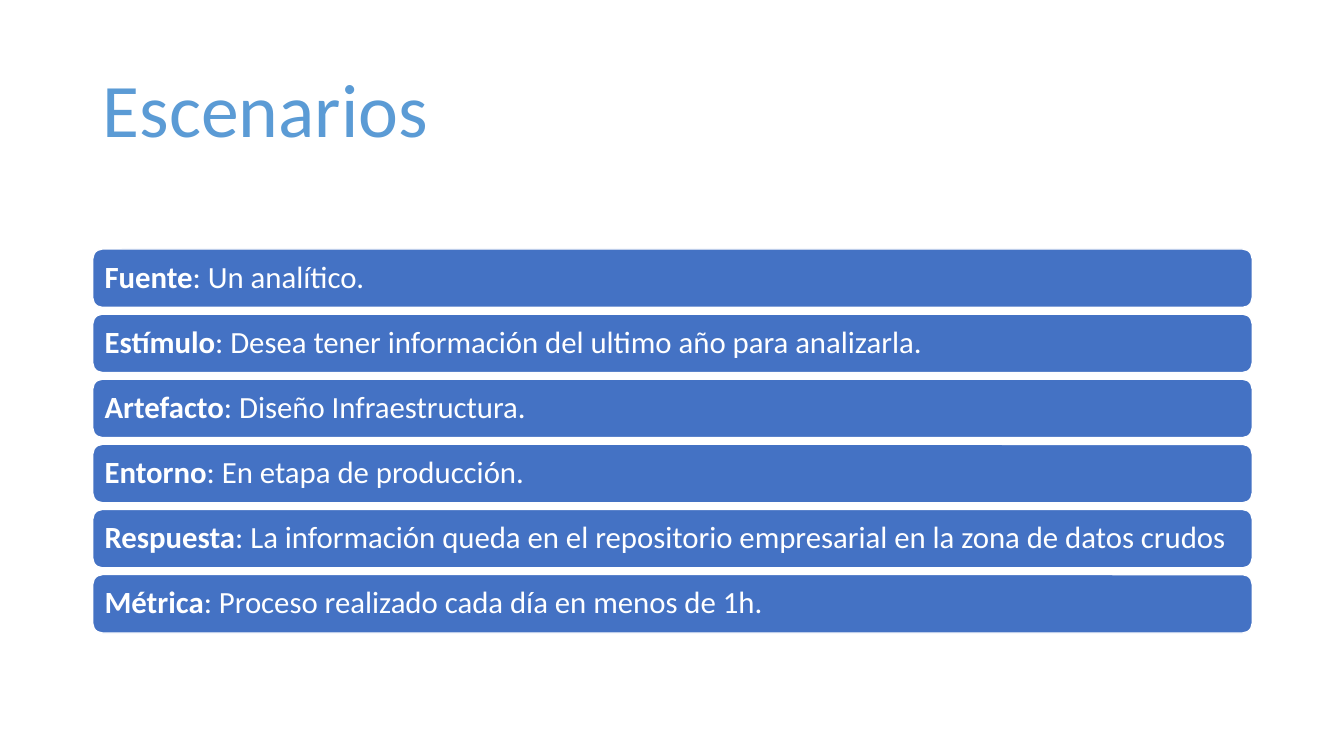
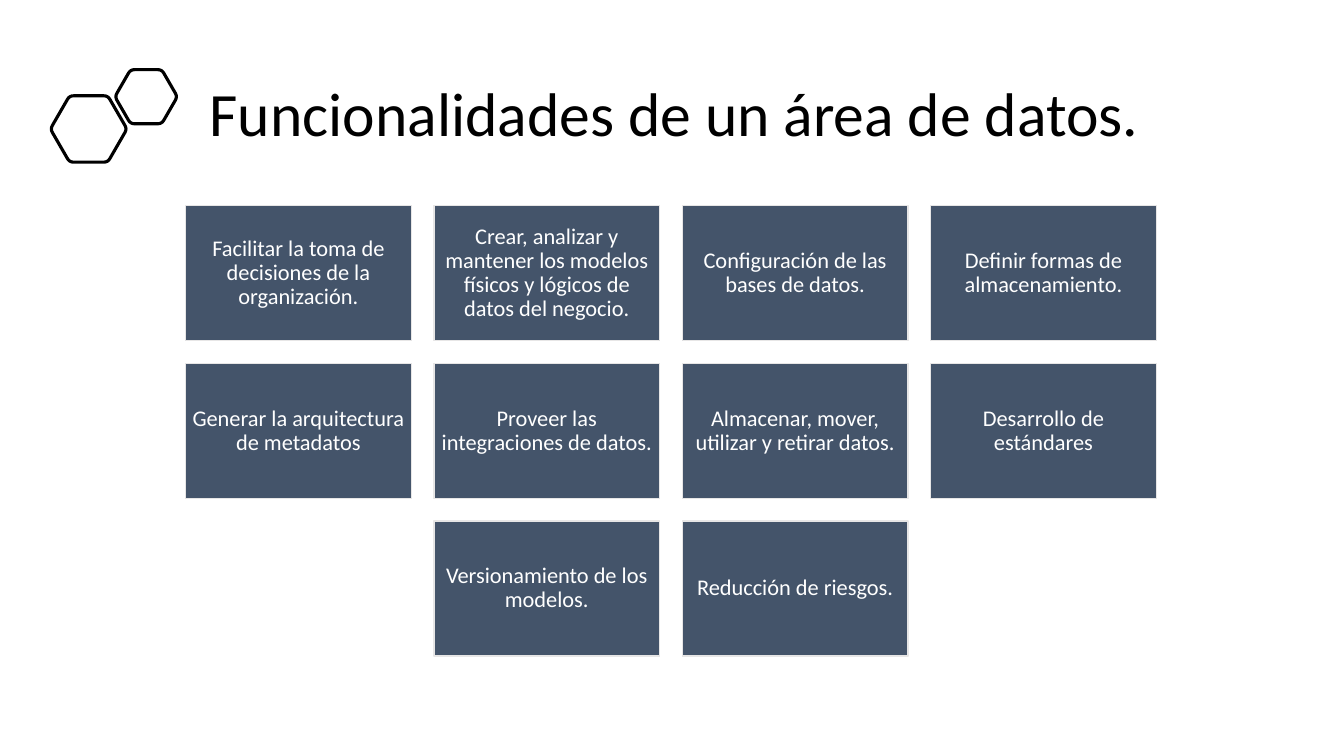
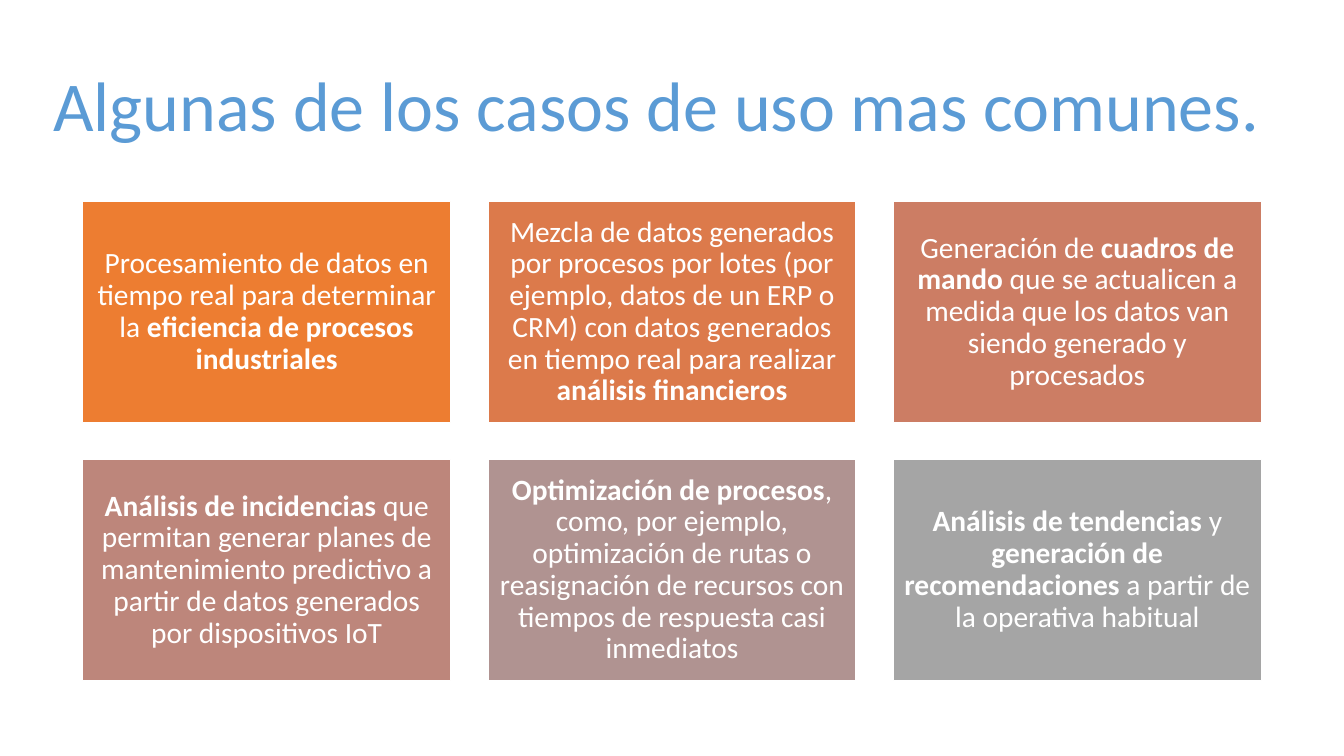
import math
from dataclasses import dataclass

import pptx
import pptx.dml.color
import pptx.enum.shapes
import pptx.enum.text
import pptx.util

Inches = pptx.util.Inches
Shapes = pptx.enum.shapes.MSO_SHAPE
Align = pptx.enum.text.PP_ALIGN
Anchor = pptx.enum.text.MSO_ANCHOR


# Shared look
@dataclass(frozen=True)
class Theme:
    font: str = "Calibri"
    title_blue: str = "5B9BD5"
    black: str = "000000"
    white: str = "FFFFFF"
    bar: str = "4472C4"
    card: str = "44546A"
    card_line: str = "E7E6E6"
    use_cases: tuple = ("ED7D31", "DC7A4B", "CC7D64", "BD867B", "B09391", "A5A5A5")
    scenario_title_size: int = 54
    function_title_size: int = 44
    use_case_title_size: int = 50
    bar_size: int = 22
    card_size: int = 16
    use_case_size: int = 21
    line_spacing: float = 0.9
    outline: float = 1
    icon_outline: float = 2.25


THEME = Theme()

# Content: ** marks the start and end of bold text
SCENARIO = [
    "**Fuente**: Un analítico.",
    "**Estímulo**: Desea tener información del ultimo año para analizarla.",
    "**Artefacto**: Diseño Infraestructura.",
    "**Entorno**: En etapa de producción.",
    "**Respuesta**: La información queda en el repositorio empresarial en la zona de datos crudos",
    "**Métrica**: Proceso realizado cada día en menos de 1h.",
]
FUNCTIONS = [
    "Facilitar la toma de decisiones de la organización.",
    "Crear, analizar y mantener los modelos físicos y lógicos de datos del negocio.",
    "Configuración de las bases de datos.",
    "Definir formas de almacenamiento.",
    "Generar la arquitectura de metadatos",
    "Proveer las integraciones de datos.",
    "Almacenar, mover, utilizar y retirar datos.",
    "Desarrollo de estándares",
    "Versionamiento de los modelos.",
    "Reducción de riesgos.",
]
USE_CASES = [
    "Procesamiento de datos en tiempo real para determinar la **eficiencia de procesos industriales**",
    "Mezcla de datos generados por procesos por lotes (por ejemplo, datos de un ERP o CRM) "
    "con datos generados en tiempo real para realizar **análisis financieros**",
    "Generación de **cuadros de mando** que se actualicen a medida que los datos van "
    "siendo generado y procesados",
    "**Análisis de incidencias** que permitan generar planes de mantenimiento predictivo "
    "a partir de datos generados por dispositivos IoT",
    "**Optimización de procesos**, como, por ejemplo, optimización de rutas o reasignación "
    "de recursos con tiempos de respuesta casi inmediatos",
    "**Análisis de tendencias** y **generación de recomendaciones** a partir de la operativa habitual",
]


# Formatting helpers
def set_attributes(target, values):
    for name, value in values.items():
        setattr(target, name, value)


def rgb(color):
    return pptx.dml.color.RGBColor.from_string(color)


def set_outline(shape, color, width):
    shape.shadow.inherit = False
    shape.line.color.rgb = rgb(color)
    shape.line.width = pptx.util.Pt(width)


def write_text(text_frame, text, size, color, alignment, inset):
    set_attributes(text_frame, {
        "word_wrap": True,
        "auto_size": pptx.enum.text.MSO_AUTO_SIZE.NONE,
        "vertical_anchor": Anchor.MIDDLE,
        **{f"margin_{side}": Inches(inset) for side in ("left", "right", "top", "bottom")},
    })
    paragraph = text_frame.paragraphs[0]
    set_attributes(paragraph, {"alignment": alignment, "line_spacing": THEME.line_spacing})
    for index, part in enumerate(text.split("**")):
        if part:
            run = paragraph.add_run()
            run.text = part
            set_attributes(run.font, {
                "name": THEME.font, "size": pptx.util.Pt(size), "bold": index % 2 == 1})
            run.font.color.rgb = rgb(color)


# Slide elements
def add_titled_slide(presentation, text, box, size, color):
    slide = presentation.slides.add_slide(presentation.slide_layouts.get_by_name("Title Only"))
    title = slide.shapes.title
    set_attributes(title, dict(zip(("left", "top", "width", "height"), map(Inches, box))))
    write_text(title.text_frame, text, size, color, Align.LEFT, 0.1)
    return slide


def grid_positions(count, columns, area, card):
    """Spread cards evenly over an area, centring a short last row."""
    left, top, width, height = area
    rows = math.ceil(count / columns)
    step_x = card[0] + (width - columns * card[0]) / max(columns - 1, 1)
    step_y = card[1] + (height - rows * card[1]) / max(rows - 1, 1)
    for index in range(count):
        row, column = divmod(index, columns)
        empty = columns - min(columns, count - row * columns)
        yield left + (column + empty / 2) * step_x, top + row * step_y


def add_cards(slide, texts, columns, area, card, fills, size, inset,
              preset=Shapes.RECTANGLE, line=THEME.white, alignment=Align.CENTER):
    positions = grid_positions(len(texts), columns, area, card)
    for text, (left, top), fill in zip(texts, positions, fills):
        shape = slide.shapes.add_shape(preset, *map(Inches, (left, top, *card)))
        shape.fill.solid()
        shape.fill.fore_color.rgb = rgb(fill)
        set_outline(shape, line, THEME.outline)
        write_text(shape.text_frame, text, size, THEME.white, alignment, inset)


def add_rounded_hexagon(slide, center_x, center_y, radius, cut=0.04):
    corners = [(center_x + radius * math.cos(math.radians(angle)),
                center_y + radius * math.sin(math.radians(angle)))
               for angle in range(0, 360, 60)]
    share = cut / radius
    points = []
    for index, corner in enumerate(corners):
        before, after = corners[index - 1], corners[(index + 1) % 6]
        start, end = ([c + (n - c) * share for c, n in zip(corner, neighbour)]
                      for neighbour in (before, after))
        for t in (0, 0.25, 0.5, 0.75, 1):
            points.append(tuple(
                Inches((1 - t) ** 2 * s + 2 * t * (1 - t) * c + t ** 2 * e)
                for s, c, e in zip(start, corner, end)))
    builder = slide.shapes.build_freeform(*points[0])
    builder.add_line_segments(points[1:], close=True)
    hexagon = builder.convert_to_shape()
    hexagon.fill.background()
    set_outline(hexagon, THEME.black, THEME.icon_outline)


# Slides
def add_scenario_slide(presentation):
    slide = add_titled_slide(presentation, "Escenarios", (0.92, 0.4, 11.5, 1.45),
                             THEME.scenario_title_size, THEME.title_blue)
    add_cards(slide, SCENARIO, 1, (0.92, 2.47, 11.5, 3.81), (11.5, 0.58),
              [THEME.bar] * len(SCENARIO), THEME.bar_size, 0.09,
              preset=Shapes.ROUNDED_RECTANGLE, alignment=Align.LEFT)


def add_functions_slide(presentation):
    slide = add_titled_slide(presentation, "Funcionalidades de un área de datos.",
                             (1.98, 0.57, 10.81, 1.17),
                             THEME.function_title_size, THEME.black)
    add_rounded_hexagon(slide, 0.88, 1.28, 0.38)
    add_rounded_hexagon(slide, 1.45, 0.96, 0.31)
    add_cards(slide, FUNCTIONS, 4, (1.84, 2.04, 9.63, 4.47), (2.24, 1.34),
              [THEME.card] * len(FUNCTIONS), THEME.card_size, 0.07, line=THEME.card_line)


def add_use_cases_slide(presentation):
    slide = add_titled_slide(presentation, "Algunas de los casos de uso mas comunes.",
                             (0.43, 0.35, 12.48, 1.45),
                             THEME.use_case_title_size, THEME.title_blue)
    add_cards(slide, USE_CASES, 3, (0.82, 2, 11.69, 4.75), (3.65, 2.19),
              THEME.use_cases, THEME.use_case_size, 0.09)


def main():
    presentation = pptx.Presentation()
    set_attributes(presentation, {"slide_width": Inches(13.33), "slide_height": Inches(7.5)})
    add_scenario_slide(presentation)
    add_functions_slide(presentation)
    add_use_cases_slide(presentation)
    presentation.save("out.pptx")


if __name__ == "__main__":
    main()
